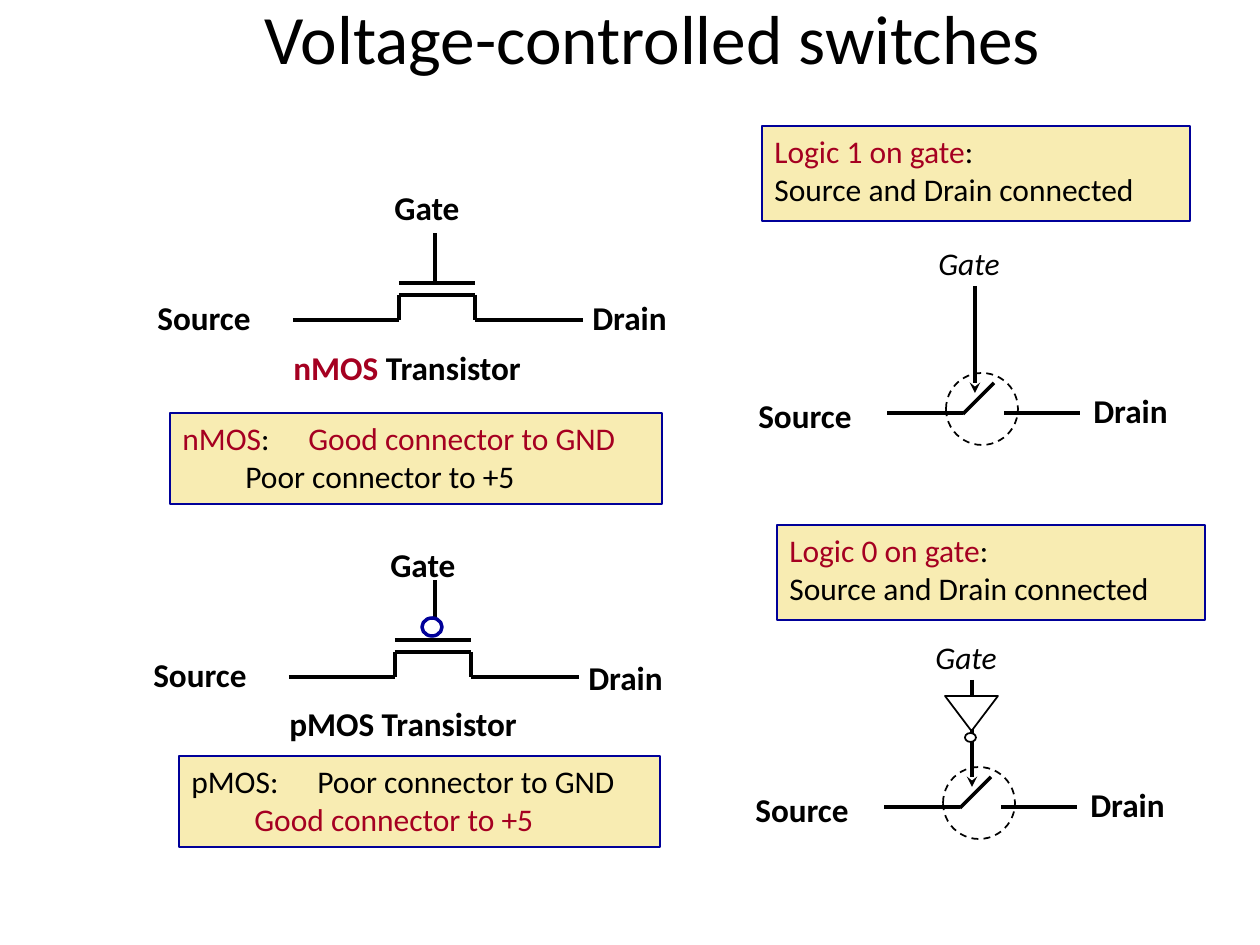
from lxml.etree import SubElement as Sub
from pptx import Presentation
from pptx.dml.color import RGBColor
from pptx.enum.dml import MSO_LINE as Dash
from pptx.enum.shapes import MSO_CONNECTOR as Conn, MSO_SHAPE as Kind
from pptx.enum.text import MSO_ANCHOR as Anchor, MSO_AUTO_SIZE as Fit, PP_ALIGN as Align
from pptx.oxml.ns import qn
from pptx.util import Pt

PX = 914400 / 126
BLACK, RED, NAVY, SAND, WHITE = "000000", "A50021", "000099", "F8ECB2", "FFFFFF"
color = RGBColor.from_string

prs = Presentation()
prs.slide_width, prs.slide_height = round(1260 * PX), round(945 * PX)
slide = prs.slides.add_slide(prs.slide_layouts[5])
shapes = slide.shapes


def write(shape, lines, size, bold=False, italic=False, align=Align.LEFT, anchor=Anchor.TOP):
    """Fill a shape with lines, each a list of (text, colour) runs."""
    frame = shape.text_frame
    frame.word_wrap = True
    frame.auto_size = Fit.NONE
    frame.vertical_anchor = anchor
    for i, runs in enumerate(lines):
        para = frame.add_paragraph() if i else frame.paragraphs[0]
        para.alignment = align
        for text, tint in runs:
            run = para.add_run()
            run.text = text
            font = run.font
            font.name, font.size = "Calibri", Pt(size)
            font.bold, font.italic = bold, italic
            font.color.rgb = color(tint)


def wire(x1, y1, x2, y2, arrow=False):
    ends = [round(v * PX) for v in (x1, y1, x2, y2)]
    line = shapes.add_connector(Conn.STRAIGHT, *ends)
    line.line.width = Pt(2)
    line.line.color.rgb = color(BLACK)
    if arrow:
        Sub(line.line._ln, qn("a:tailEnd"), type="stealth")
    Sub(line._element.spPr, qn("a:effectLst"))


title = shapes.title
title.left, title.top, title.width, title.height = [
    round(v * PX) for v in (147, 14, 1011, 45)]
write(title, [[("Voltage-controlled switches", BLACK)]], 39.6,
      align=Align.CENTER, anchor=Anchor.MIDDLE)

# Labels: x, y, width, runs, size, bold, italic
labels = []

# Transistors, the lower one shifted from the upper one
channel = [(293, 320), (399, 320), (399, 295), (475, 295), (475, 320), (583, 320)]
for dx, dy, top, end, drop, name in [
    (0, 0, 233, 285, 0, [("nMOS", RED), (" Transistor", BLACK)]),
    (-4, 357, 580, 630, 3, [("pMOS Transistor", BLACK)]),
]:
    for (x1, y1), (x2, y2) in zip(channel, channel[1:]):
        wire(x1 + dx, y1 + dy, x2 + dx, y2 + dy)
    wire(399 + dx, 283 + dy, 475 + dx, 283 + dy)
    wire(435, end, 435, top)
    labels += [
        (382 + dx, 181 + dy, 100, [("Gate", BLACK)], 19, True, False),
        (145 + dx, 291 + dy, 139, [("Source", BLACK)], 19, True, False),
        (580 + dx, 291 + dy + drop, 111, [("Drain", BLACK)], 19, True, False),
        (281 + dx, 341 + dy - drop // 2, 294, name, 19, True, False),
    ]

# Switches
for dx, dy in [(0, 0), (-3, 394)]:
    for x1, y1, x2, y2 in [(963, 414, 994, 383), (963, 413, 887, 413),
                           (1080, 413, 1004, 413)]:
        wire(x1 + dx, y1 + dy, x2 + dx, y2 + dy)
    wire(975 + dx, 286 + dy, 975 + dx, 393 + dy, arrow=True)
    labels += [
        (926 + dx, 238 + dy, 93, [("Gate", BLACK)], 18, False, True),
        (746 + dx, 389 + dy, 139, [("Source", BLACK)], 19, True, False),
        (1081 + dx, 384 + dy, 111, [("Drain", BLACK)], 19, True, False),
    ]

for x, y, w, runs, size, bold, italic in labels:
    box = shapes.add_textbox(*[round(v * PX) for v in (x, y, w, 53)])
    write(box, [runs], size, bold, italic)

# Shapes: kind, x, y, width, height, fill, line, line width, text lines
both = [("Source and Drain connected", BLACK)]
for kind, x, y, w, h, fill, edge, thick, lines in [
    (Kind.OVAL, 946, 373, 72, 72, None, BLACK, 1, []),
    (Kind.OVAL, 943, 767, 72, 72, None, BLACK, 1, []),
    (Kind.OVAL, 422, 618, 20, 18, WHITE, NAVY, 2, []),
    (Kind.ISOSCELES_TRIANGLE, 945, 696, 53, 35, WHITE, BLACK, 1, []),
    (Kind.OVAL, 965, 733, 11, 9, WHITE, BLACK, 1, []),
    (Kind.RECTANGLE, 762, 126, 428, 95, SAND, NAVY, 1.5,
     [[("Logic 1 on gate", RED), (":", BLACK)], both]),
    (Kind.RECTANGLE, 777, 525, 428, 95, SAND, NAVY, 1.5,
     [[("Logic 0 on gate", RED), (":", BLACK)], both]),
    (Kind.RECTANGLE, 170, 413, 492, 91, SAND, NAVY, 1.5,
     [[("nMOS", RED), (": \t", BLACK), ("Good connector to GND", RED)],
      [("\tPoor connector to +5", BLACK)]]),
    (Kind.RECTANGLE, 179, 756, 481, 91, SAND, NAVY, 1.5,
     [[("pMOS: \tPoor connector to GND", BLACK)],
      [("\tGood connector to +5", RED)]]),
]:
    shape = shapes.add_shape(kind, *[round(v * PX) for v in (x, y, w, h)])
    shape.shadow.inherit = False
    shape.line.color.rgb = color(edge)
    shape.line.width = Pt(thick)
    if fill:
        shape.fill.solid()
        shape.fill.fore_color.rgb = color(fill)
    else:
        shape.fill.background()
        shape.line.dash_style = Dash.DASH
    if kind == Kind.ISOSCELES_TRIANGLE:
        shape.rotation = 180
    if lines:
        write(shape, lines, 18)

prs.save("out.pptx")
